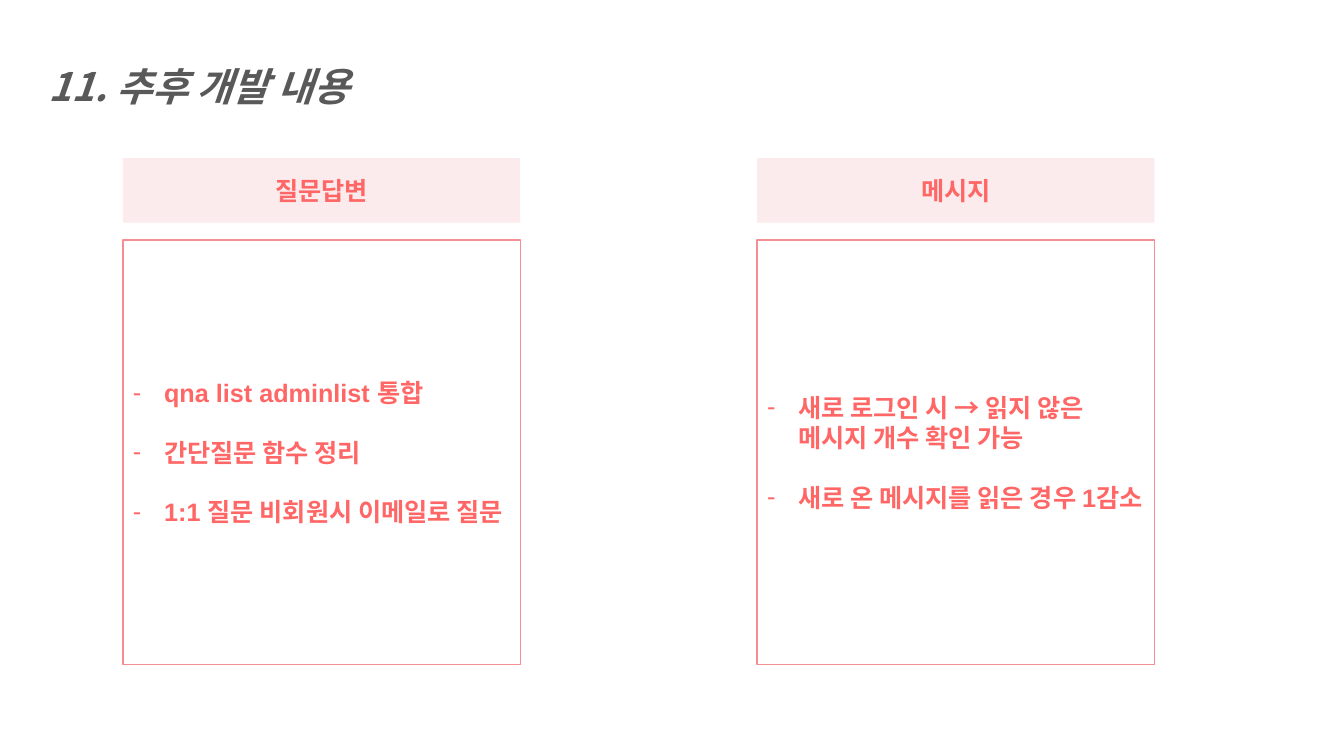
from lxml import etree
from pptx import Presentation
from pptx.dml.color import RGBColor
from pptx.enum.shapes import MSO_SHAPE
from pptx.enum.text import MSO_ANCHOR, PP_ALIGN
from pptx.oxml.ns import qn
from pptx.util import Inches, Pt

RECTANGLE = MSO_SHAPE.RECTANGLE
MIDDLE = MSO_ANCHOR.MIDDLE
LEFT, CENTER = PP_ALIGN.LEFT, PP_ALIGN.CENTER

GRAY = RGBColor(0x59, 0x59, 0x59)
CORAL = RGBColor(0xFF, 0x67, 0x66)
PINK = RGBColor(0xF4, 0x8E, 0x93)
PALE_PINK = RGBColor(0xFC, 0xEB, 0xEC)
WHITE = RGBColor(0xFF, 0xFF, 0xFF)
KOREAN_FONT = "Noto Sans CJK KR"

COLUMN_WIDTH = 3.94
COLUMNS = [
    (1.22, "질문답변", [
        "qna list adminlist 통합",
        "간단질문 함수 정리",
        "1:1 질문 비회원시 이메일로 질문",
    ]),
    (7.51, "메시지", [
        "새로 로그인 시 → 읽지 않은 메시지 개수 확인 가능",
        "새로 온 메시지를 읽은 경우 1감소",
    ]),
]


def add_text(paragraph, text, size, color, font_name):
    run = paragraph.add_run()
    run.text = text
    run.font.size = Pt(size)
    run.font.bold = True
    run.font.name = font_name
    run.font.color.rgb = color
    east_asian = etree.SubElement(run.font._element, qn("a:ea"))
    east_asian.set("typeface", KOREAN_FONT)
    return run


def add_box(slide, left, top, height, fill_color):
    shape = slide.shapes.add_shape(
        RECTANGLE, Inches(left), Inches(top), Inches(COLUMN_WIDTH), Inches(height))
    shape.shadow.inherit = False
    shape.fill.solid()
    shape.fill.fore_color.rgb = fill_color
    shape.line.fill.background()
    shape.text_frame.word_wrap = True
    shape.text_frame.vertical_anchor = MIDDLE
    return shape


presentation = Presentation()
presentation.slide_width = Inches(13.33)
presentation.slide_height = Inches(7.5)
slide = presentation.slides.add_slide(presentation.slide_layouts[6])

# Title
title = slide.shapes.add_textbox(Inches(0.38), Inches(0.34), Inches(6.65), Inches(0.72))
title.text_frame.word_wrap = True
paragraph = title.text_frame.paragraphs[0]
paragraph.line_spacing = 1.5
add_text(paragraph, "11. 추후 개발 내용", 28, GRAY, KOREAN_FONT).font.italic = True

for left, heading, items in COLUMNS:
    # Column heading
    header = add_box(slide, left, 1.57, 0.64, PALE_PINK)
    paragraph = header.text_frame.paragraphs[0]
    paragraph.alignment = CENTER
    add_text(paragraph, heading, 18, CORAL, "Arial")

    # Outlined list
    body = add_box(slide, left, 2.38, 4.21, WHITE)
    body.line.color.rgb = PINK
    body.line.width = Pt(1)
    for index, item in enumerate(items):
        if index == 0:
            paragraph = body.text_frame.paragraphs[0]
        else:
            paragraph = body.text_frame.add_paragraph()
            paragraph.space_before = Pt(21)
        paragraph.alignment = LEFT
        properties = paragraph._p.get_or_add_pPr()
        properties.set("marL", str(Inches(0.31)))
        properties.set("indent", str(-Inches(0.31)))
        bullet_font = etree.SubElement(properties, qn("a:buFont"))
        bullet_font.set("typeface", "Arial")
        bullet = etree.SubElement(properties, qn("a:buChar"))
        bullet.set("char", "-")
        add_text(paragraph, item, 18, CORAL, "Arial")

presentation.save("out.pptx")
